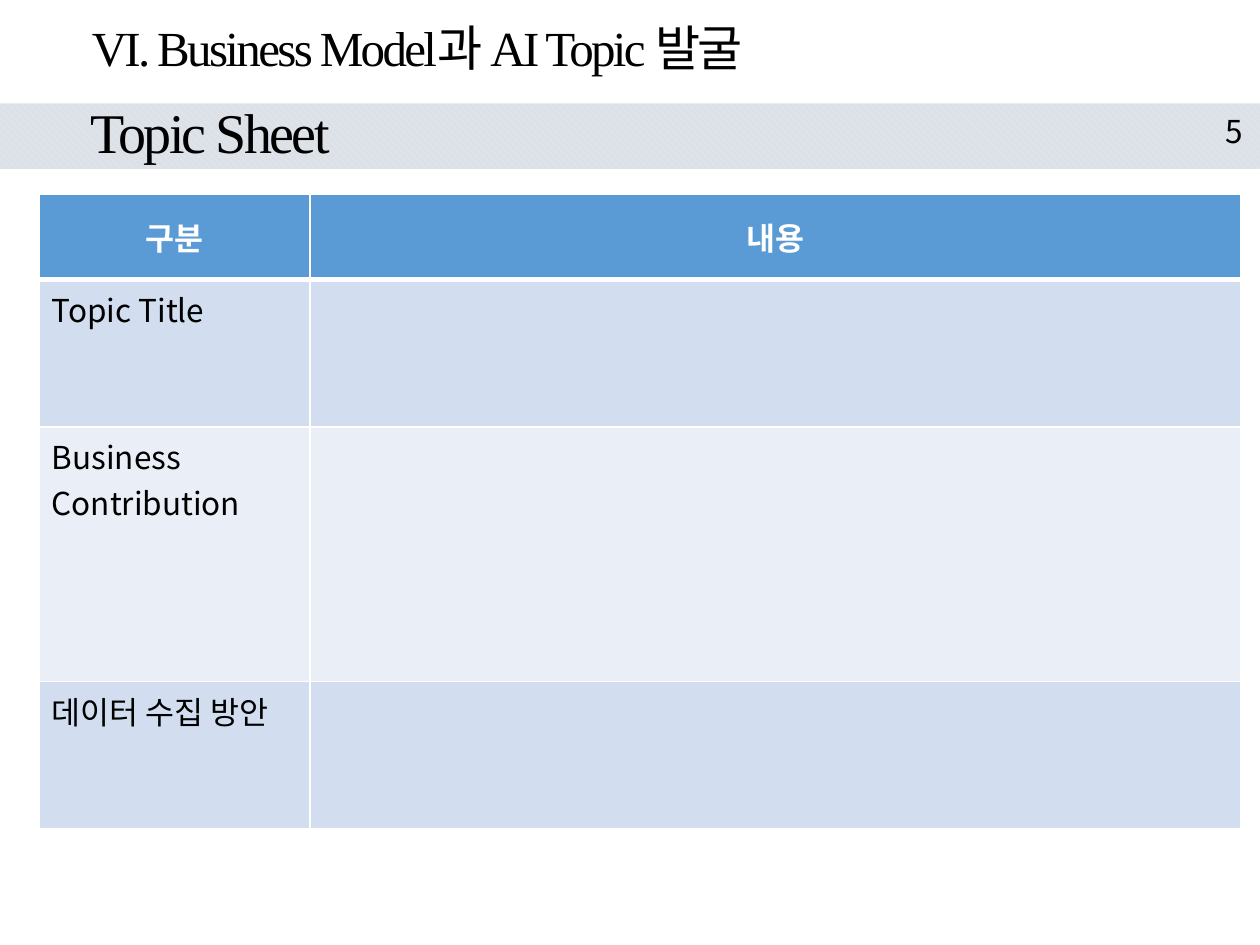
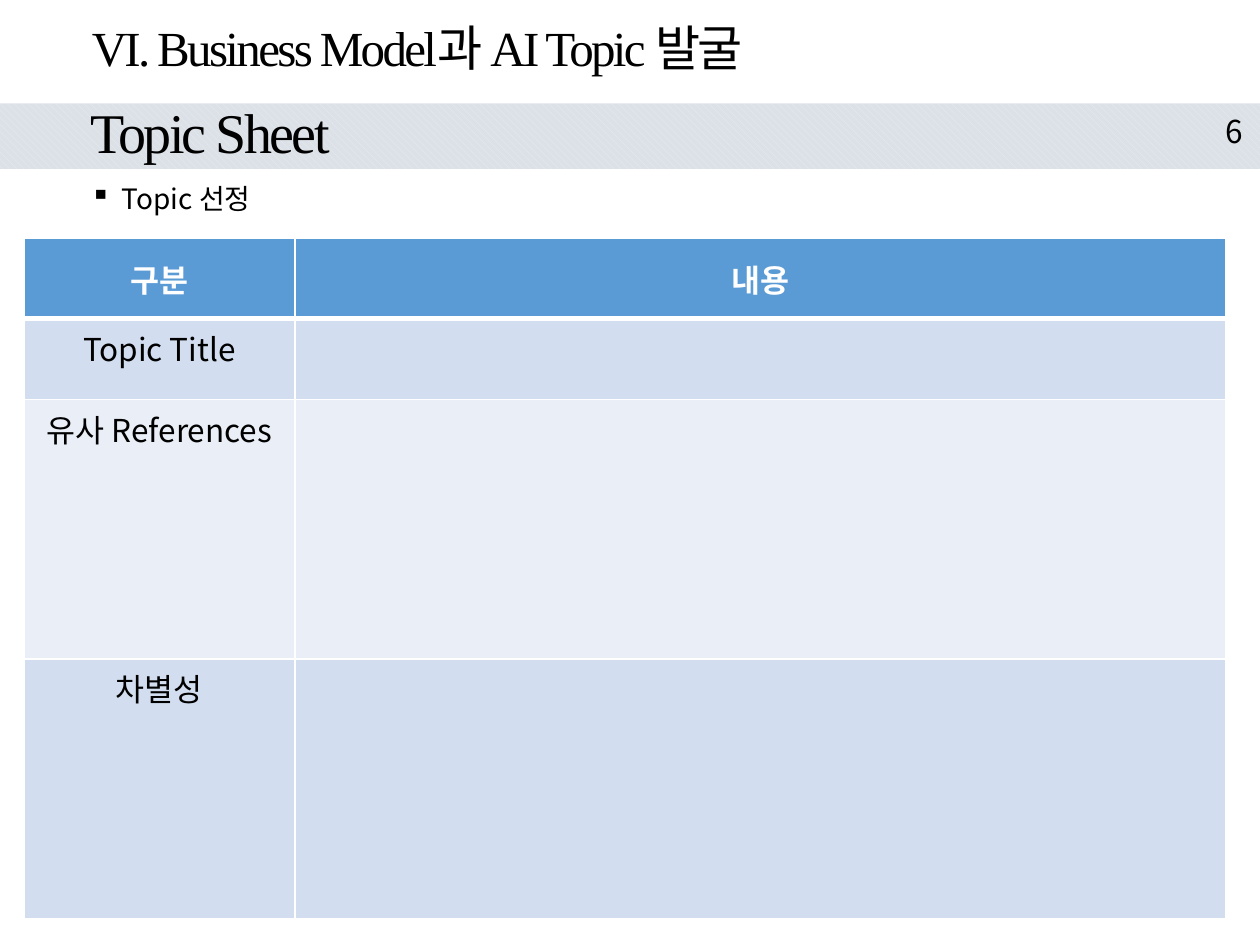
from dataclasses import dataclass

from lxml import etree
from pptx import Presentation
from pptx.dml.color import RGBColor
from pptx.enum.dml import MSO_PATTERN
from pptx.enum.shapes import MSO_SHAPE
from pptx.enum.text import MSO_ANCHOR, PP_ALIGN
from pptx.oxml.ns import qn
from pptx.util import Inches, Pt

RECTANGLE = MSO_SHAPE.RECTANGLE
WIDE_DIAGONAL = MSO_PATTERN.WIDE_DOWNWARD_DIAGONAL
TOP, MIDDLE, BOTTOM = MSO_ANCHOR.TOP, MSO_ANCHOR.MIDDLE, MSO_ANCHOR.BOTTOM
LEFT, CENTER, RIGHT = PP_ALIGN.LEFT, PP_ALIGN.CENTER, PP_ALIGN.RIGHT
GRID_COLUMNS, GRID_ROWS = 100, 75


@dataclass(frozen=True)
class Theme:
    ink: str = "000000"
    paper: str = "FFFFFF"
    header: str = "5B9BD5"
    stripes: tuple = ("D2DEEF", "EAEFF7")
    band_front: str = "E9EDF2"
    band_back: str = "DCE1E8"
    serif: str = "Times New Roman"
    sans: str = "Noto Sans CJK KR"
    title_size: int = 28
    subtitle_size: int = 32
    table_size: int = 18
    bullet_size: int = 16
    tight: float = -1.5
    thin: int = 1
    thick: int = 3


def write(frame, text, *, size, color, font, east_asian, bold=False, align=LEFT,
          tracking=0, line_spacing=None, bullet=None):
    paragraph = frame.paragraphs[0]
    paragraph.alignment = align
    if line_spacing:
        paragraph.line_spacing = line_spacing
    if bullet:
        properties = paragraph._p.get_or_add_pPr()
        indent = Inches(0.25)
        properties.set("marL", str(indent))
        properties.set("indent", str(-indent))
        etree.SubElement(properties, qn("a:buChar"), char=bullet)
    run = paragraph.add_run()
    run.text = text
    run.font.size = Pt(size)
    run.font.bold = bold
    run.font.color.rgb = RGBColor.from_string(color)
    run.font.name = font
    run_properties = run._r.get_or_add_rPr()
    if tracking:
        run_properties.set("spc", str(round(tracking * 100)))
    etree.SubElement(run_properties, qn("a:ea"), typeface=east_asian)


class Deck:
    def __init__(self, theme):
        self.theme = theme
        self.presentation = Presentation()
        self.presentation.slide_width = Inches(10)
        self.presentation.slide_height = Inches(7.5)
        self.column = self.presentation.slide_width / GRID_COLUMNS
        self.row = self.presentation.slide_height / GRID_ROWS
        self.slide = None

    def place(self, left, top, width, height):
        return (round(left * self.column), round(top * self.row),
                round(width * self.column), round(height * self.row))

    def text(self, area, text, anchor=TOP, **style):
        frame = self.slide.shapes.add_textbox(*self.place(*area)).text_frame
        frame.word_wrap = True
        frame.vertical_anchor = anchor
        defaults = dict(color=self.theme.ink, font=self.theme.sans,
                        east_asian=self.theme.sans)
        write(frame, text, **{**defaults, **style})

    def band(self, area):
        band = self.slide.shapes.add_shape(RECTANGLE, *self.place(*area))
        band.shadow.inherit = False
        band.line.fill.background()
        band.fill.patterned()
        band.fill.pattern = WIDE_DIAGONAL
        band.fill.fore_color.rgb = RGBColor.from_string(self.theme.band_front)
        band.fill.back_color.rgb = RGBColor.from_string(self.theme.band_back)

    def page(self, title, subtitle, number):
        theme = self.theme
        self.slide = self.presentation.slides.add_slide(
            self.presentation.slide_layouts[6])
        self.band((0, 8.2, 100, 5.2))
        heading = dict(font=theme.serif, tracking=theme.tight)
        self.text((6.3, 0.4, 86.2, 7.3), title, MIDDLE,
                  size=theme.title_size, line_spacing=0.9, **heading)
        self.text((6.2, 7.7, 78.9, 5.9), subtitle, BOTTOM,
                  size=theme.subtitle_size, **heading)
        self.text((94.6, 8.4, 5, 4), str(number), size=theme.table_size, align=RIGHT)

    def bullet(self, area, text):
        self.text(area, text, size=self.theme.bullet_size, bullet="▪")

    def borders(self, cell, bottom):
        properties = cell._tc.get_or_add_tcPr()
        thin = self.theme.thin
        for side, width in zip("LRTB", (thin, thin, thin, bottom)):
            line = etree.SubElement(properties, qn(f"a:ln{side}"), w=str(Pt(width)))
            fill = etree.SubElement(line, qn("a:solidFill"))
            etree.SubElement(fill, qn("a:srgbClr"), val=self.theme.paper)

    def table(self, left, top, widths, heights, headings, topics, topic_align):
        theme = self.theme
        area = self.place(left, top, sum(widths), sum(heights))
        table = self.slide.shapes.add_table(len(heights), len(widths), *area).table
        for column, width in zip(table.columns, widths):
            column.width = round(width * self.column)
        for row, height in zip(table.rows, heights):
            row.height = round(height * self.row)
        entries = [headings] + [(topic, "") for topic in topics]
        for row_index, labels in enumerate(entries):
            is_header = row_index == 0
            shade = theme.header if is_header else theme.stripes[(row_index - 1) % 2]
            for column_index, label in enumerate(labels):
                cell = table.cell(row_index, column_index)
                self.borders(cell, theme.thick if is_header else theme.thin)
                cell.fill.solid()
                cell.fill.fore_color.rgb = RGBColor.from_string(shade)
                cell.vertical_anchor = MIDDLE if is_header else TOP
                if label:
                    write(cell.text_frame, label, size=theme.table_size,
                          color=theme.paper if is_header else theme.ink,
                          font=theme.sans, east_asian=theme.sans, bold=is_header,
                          align=CENTER if is_header else topic_align)


def main():
    deck = Deck(Theme())
    title, subtitle = "VI. Business Model과 AI Topic 발굴", "Topic Sheet"
    widths, headings = (21.5, 73.9), ("구분", "내용")

    deck.page(title, subtitle, 5)
    deck.table(3.1, 15.4, widths, (6.8, 11.7, 20.2, 11.7), headings,
               ("Topic Title", "Business Contribution", "데이터 수집 방안"), LEFT)

    deck.page(title, subtitle, 6)
    deck.bullet((6.2, 13.9, 93.4, 5.5), "Topic 선정")
    deck.table(1.9, 18.9, widths, (6.4, 6.4, 20.6, 20.6), headings,
               ("Topic Title", "유사 References", "차별성"), CENTER)

    deck.presentation.save("out.pptx")


if __name__ == "__main__":
    main()
